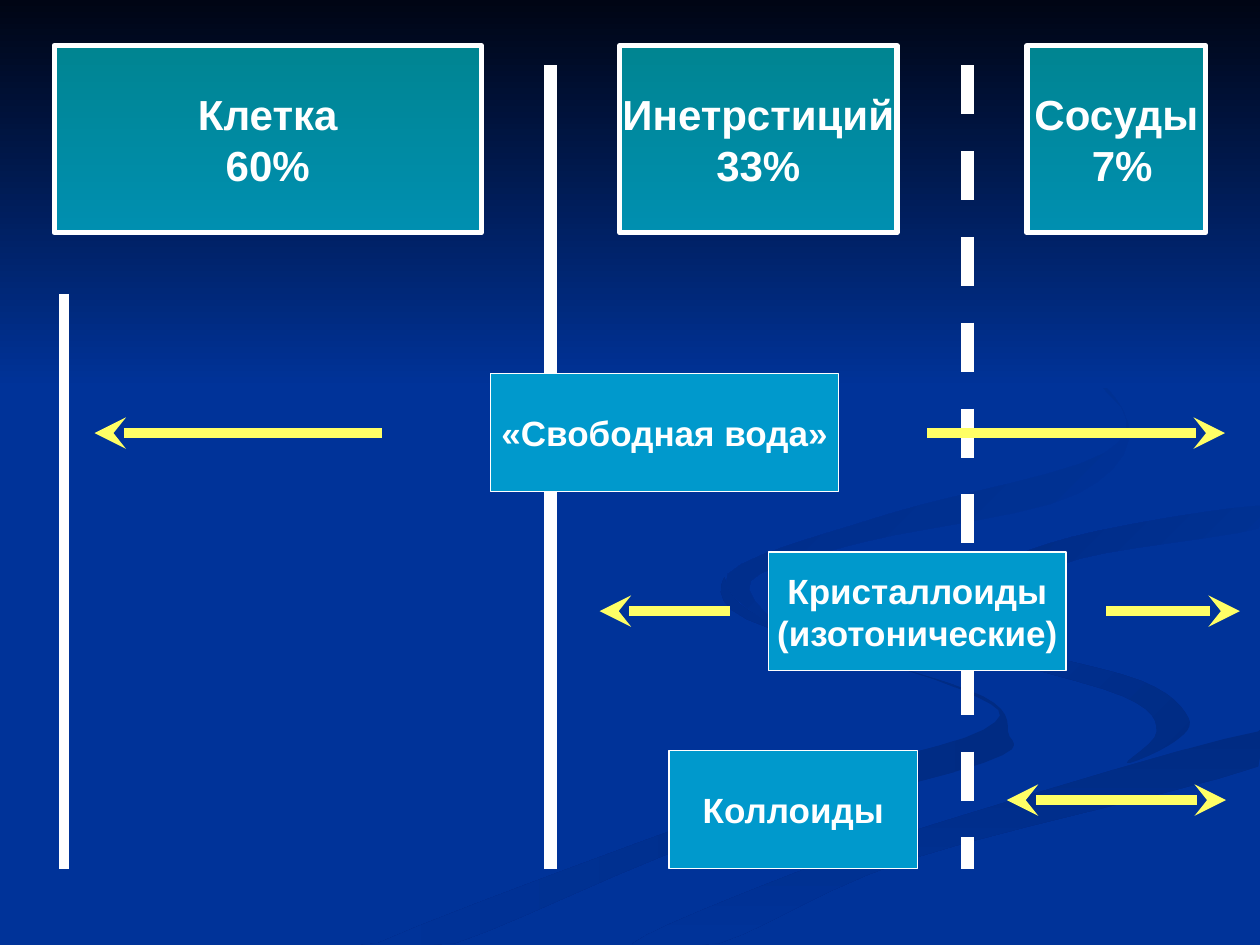
import pptx
import pptx.util
import pptx.dml.color
import pptx.enum.dml
import pptx.enum.shapes
import pptx.enum.text
import pptx.oxml.ns
from lxml import etree

Pt = pptx.util.Pt
WIDTH, HEIGHT = 720, 540
COLORS = {"night": "000514", "blue": "003399", "aqua": "00FFFF", "box": "0099CC",
          "white": "FFFFFF", "arrow": "FFFF66", "shade": "002B83"}

# Background ribbons: colours from start to end, clockwise angle, points of a smooth outline
RIBBONS = [
    ("shade", "blue", 180, [
        (562, 398), (491, 374), (428, 349), (414, 330), (427, 354), (549, 394), (562, 417),
        (444, 453), (216, 539), (260, 539), (406, 479), (562, 436), (576, 418)]),
    ("shade", "blue", 225, [
        (679, 410), (652, 389), (570, 366), (521, 334), (552, 369), (642, 398), (661, 418),
        (644, 436), (671, 424)]),
    ("shade", "blue", 90, [
        (362, 539), (411, 539), (520, 491), (719, 438), (719, 418), (550, 466), (454, 499)]),
    ("blue", "shade", 225, [
        (562, 331), (595, 357), (580, 340), (618, 319), (719, 302), (719, 289), (612, 307)]),
    ("blue", "shade", 225, [
        (492, 310), (616, 282), (641, 233), (549, 168), (631, 220), (631, 259), (507, 294),
        (416, 328), (448, 360), (429, 332)]),
]
SKY_HEIGHT = 222

# Fluid compartments: left, width, lines of text
HEADER_TOP, HEADER_HEIGHT = 26, 107
COMPARTMENTS = [
    (31, 244, ["Клетка", "60%"]),
    (354.2, 158.4, ["Инетрстиций", "33%"]),
    (586.8, 102.2, ["Сосуды", " 7%"]),
]

# Membranes: x, top, line width, dashed
BARRIER_BOTTOM = 496.8
BARRIERS = [(36.7, 168, 6, False), (314.6, 37.4, 7, False), (552.9, 37.4, 7, True)]

# Solutions: left, top, width, lines of text, arrow y, arrows (from x, to x, heads)
SOLUTION_HEIGHT = 67.7
LEFT, RIGHT = "a:headEnd", "a:tailEnd"
SOLUTIONS = [
    (439.2, 315.4, 170, ["Кристаллоиды", "(изотонические)"], 349.2,
     [(342.7, 416.9, [LEFT]), (632.2, 708.5, [RIGHT])]),
    (382.3, 428.8, 142, ["Коллоиды"], 457.2, [(575.3, 700.6, [LEFT, RIGHT])]),
    (280.5, 213.4, 198.7, ["«Свободная вода»"], 247.5,
     [(54, 218.2, [LEFT]), (529.9, 700, [RIGHT])]),
]


def color(name):
    return pptx.dml.color.RGBColor.from_string(COLORS[name])


def add_child(parent, tag, **attributes):
    child = etree.SubElement(parent, pptx.oxml.ns.qn(tag))
    for key, value in attributes.items():
        child.set(key, value)


def smooth_outline(points, steps=6):
    """Closed Catmull-Rom curve through the points, kept inside the page."""
    curve = []
    count = len(points)
    for index in range(count):
        corners = [points[(index + shift) % count] for shift in (-1, 0, 1, 2)]
        for step in range(steps):
            t = step / steps
            x, y = [b + t / 2 * (c - a + t * (2 * a - 5 * b + 4 * c - d
                                              + t * (3 * (b - c) + d - a)))
                    for a, b, c, d in zip(*corners)]
            curve.append((Pt(min(x, WIDTH)), Pt(min(y, HEIGHT))))
    return curve


def paint_gradient(shape, start, end, angle):
    shape.shadow.inherit = False
    shape.line.fill.background()
    shape.fill.gradient()
    shape.fill.gradient_angle = 360 - angle
    for position, (stop, name) in enumerate(zip(shape.fill.gradient_stops, (start, end))):
        stop.color.rgb = color(name)
        stop.position = position


def add_ribbon(page, start, end, angle, points):
    first, *rest = smooth_outline(points)
    builder = page.shapes.build_freeform(*first)
    builder.add_line_segments(rest, close=True)
    paint_gradient(builder.convert_to_shape(), start, end, angle)


def add_rectangle(page, left, top, width, height):
    return page.shapes.add_shape(pptx.enum.shapes.MSO_SHAPE.RECTANGLE,
                                 Pt(left), Pt(top), Pt(width), Pt(height))


def add_box(page, left, top, width, height, lines, fill, border, size):
    box = add_rectangle(page, left, top, width, height)
    box.shadow.inherit = False
    box.fill.solid()
    box.fill.fore_color.rgb = color(fill)
    box.line.color.rgb = color("white")
    box.line.width = Pt(border)
    frame = box.text_frame
    frame.word_wrap = False
    frame.vertical_anchor = pptx.enum.text.MSO_ANCHOR.MIDDLE
    for index, line in enumerate(lines):
        para = frame.add_paragraph() if index else frame.paragraphs[0]
        para.alignment = pptx.enum.text.PP_ALIGN.CENTER
        span = para.add_run()
        span.text = line
        span.font.name = "Arial"
        span.font.size = Pt(size)
        span.font.bold = True
        span.font.color.rgb = color("white")
    return box


def add_line(page, x1, y1, x2, y2, name, width):
    line = page.shapes.add_connector(pptx.enum.shapes.MSO_CONNECTOR.STRAIGHT,
                                     Pt(x1), Pt(y1), Pt(x2), Pt(y2))
    line.line.color.rgb = color(name)
    line.line.width = Pt(width)
    add_child(line._element.spPr, "a:effectLst")
    return line


def main():
    deck = pptx.Presentation()
    deck.slide_width, deck.slide_height = Pt(WIDTH), Pt(HEIGHT)
    page = deck.slides.add_slide(deck.slide_layouts[6])
    page.background.fill.solid()
    page.background.fill.fore_color.rgb = color("blue")

    for ribbon in RIBBONS:
        add_ribbon(page, *ribbon)
    sky = add_rectangle(page, 0, 0, WIDTH, SKY_HEIGHT)
    paint_gradient(sky, "night", "blue", 90)

    for left, width, lines in COMPARTMENTS:
        box = add_box(page, left, HEADER_TOP, width, HEADER_HEIGHT, lines, "aqua", 3, 24)
        tint = box._element.spPr.find(pptx.oxml.ns.qn("a:solidFill"))[0]
        add_child(tint, "a:alpha", val="50000")

    for x, top, width, dashed in BARRIERS:
        barrier = add_line(page, x, top, x, BARRIER_BOTTOM, "white", width)
        if dashed:
            barrier.line.dash_style = pptx.enum.dml.MSO_LINE.DASH

    for left, top, width, lines, y, arrows in SOLUTIONS:
        add_box(page, left, top, width, SOLUTION_HEIGHT, lines, "box", 0.75, 20)
        for x1, x2, heads in arrows:
            arrow = add_line(page, x1, y, x2, y, "arrow", 6)
            outline = arrow._element.spPr.find(pptx.oxml.ns.qn("a:ln"))
            for head in heads:
                add_child(outline, head, type="stealth")

    deck.save("out.pptx")


if __name__ == "__main__":
    main()
